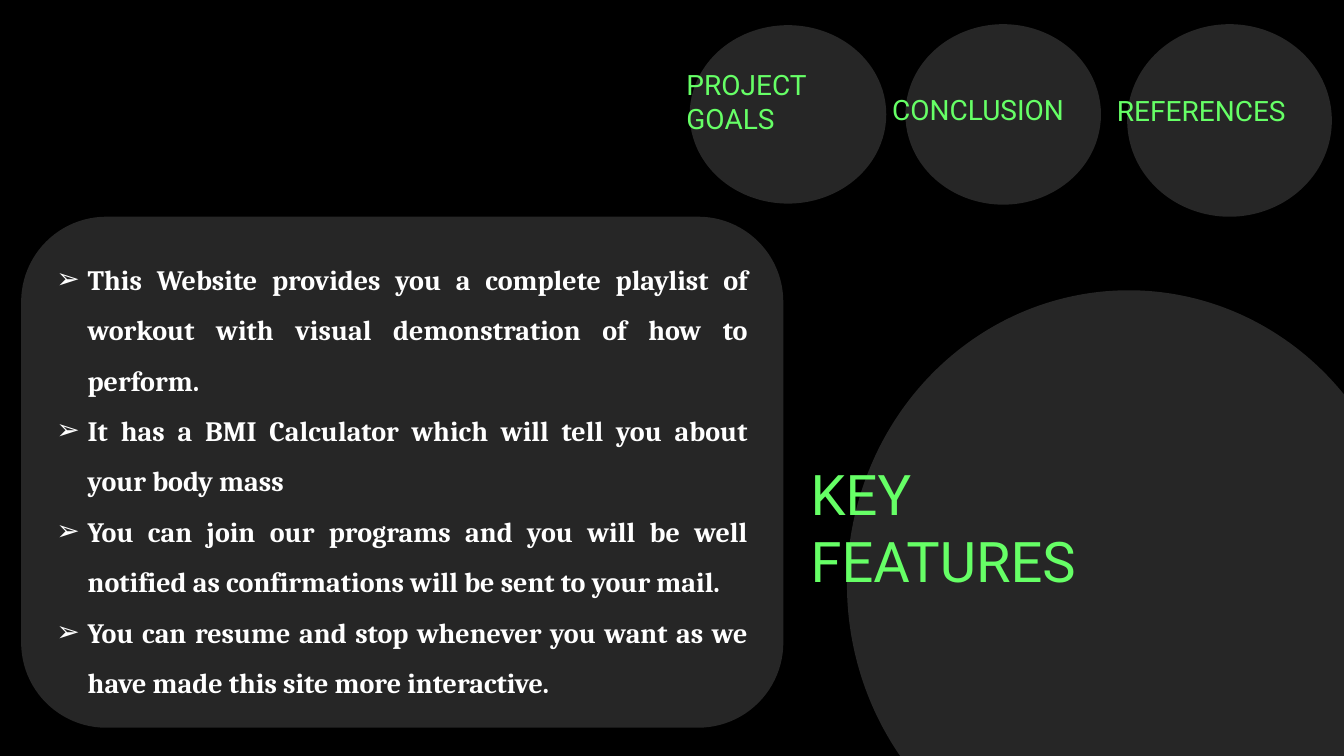
from lxml import etree
from pptx import Presentation
from pptx.dml.color import RGBColor
from pptx.enum.shapes import MSO_SHAPE
from pptx.enum.text import MSO_ANCHOR, MSO_AUTO_SIZE, PP_ALIGN
from pptx.oxml.ns import qn
from pptx.util import Inches, Pt

OVAL, ROUNDED = MSO_SHAPE.OVAL, MSO_SHAPE.ROUNDED_RECTANGLE
LEFT, JUSTIFY = PP_ALIGN.LEFT, PP_ALIGN.JUSTIFY
MIDDLE, NO_FIT = MSO_ANCHOR.MIDDLE, MSO_AUTO_SIZE.NONE
BLACK, GREY, GREEN, WHITE = "000000", "262626", "66FF66", "FFFFFF"


def rgb(color):
    return RGBColor.from_string(color)


def fill_text(sp, box, lines, font, size, color, align, bold=False):
    sp.left, sp.top, sp.width, sp.height = [Inches(v) for v in box]
    tf = sp.text_frame
    tf.word_wrap = True
    tf.auto_size = NO_FIT
    tf.vertical_anchor = MIDDLE
    tf.text = "\n".join(lines)
    for p in tf.paragraphs:
        p.alignment = align
        p.line_spacing = 1.0
        p.space_before = Pt(0)
        p.font.name = font
        p.font.size = Pt(size)
        p.font.bold = bold
        p.font.color.rgb = rgb(color)


prs = Presentation()
prs.slide_width, prs.slide_height = Inches(13.33), Inches(7.5)
s = prs.slides.add_slide(prs.slide_layouts[1])
s.background.fill.solid()
s.background.fill.fore_color.rgb = rgb(BLACK)
title, body = s.placeholders

panels = [
    (OVAL, 8.4, 2.88, 5.59, 5.83),
    (OVAL, 6.84, 0.25, 1.95, 1.77),
    (OVAL, 11.18, 0.24, 2.03, 1.91),
    (OVAL, 8.98, 0.24, 1.94, 1.79),
    (ROUNDED, 0.21, 2.15, 7.56, 5.07),
]
for kind, *box in panels:
    sp = s.shapes.add_shape(kind, *[Inches(v) for v in box])
    sp.shadow.inherit = False
    sp.fill.solid()
    sp.fill.fore_color.rgb = rgb(GREY)
    sp.line.fill.background()

labels = [
    (["PROJECT", "GOALS"], (6.71, 0.62, 2.47, 0.77)),
    (["CONCLUSION"], (8.75, 0.86, 2.64, 0.44)),
    (["REFERENCES"], (10.98, 0.87, 2.64, 0.44)),
]
for lines, box in labels:
    sp = s.shapes.add_textbox(0, 0, 0, 0)
    fill_text(sp, box, lines, "Roboto", 20, GREEN, LEFT)

s.shapes.element.append(title.element)
fill_text(title, (7.94, 4.5, 7.09, 1.45), ["KEY", "FEATURES"],
          "Roboto", 40, GREEN, LEFT)

features = [
    "This Website provides you a complete playlist of workout with visual "
    "demonstration of how to perform.",
    "It has a BMI Calculator which will tell you about your body mass",
    "You can join our programs and you will be well notified as "
    "confirmations will be sent to your mail.",
    "You can resume and stop whenever you want as we have made this site "
    "more interactive.",
]
s.shapes.element.append(body.element)
fill_text(body, (0.46, 2.4, 7.06, 4.57), features,
          "Cambria", 20, WHITE, JUSTIFY, True)
for p in body.text_frame.paragraphs:
    p.line_spacing = 1.5
    pPr = p._p.get_or_add_pPr()
    pPr.set("marL", str(Inches(0.31)))
    pPr.set("indent", str(-Inches(0.31)))
    bullet = etree.Element(qn("a:buChar"), char="➢")
    pPr.find(qn("a:defRPr")).addprevious(bullet)

prs.save("out.pptx")
